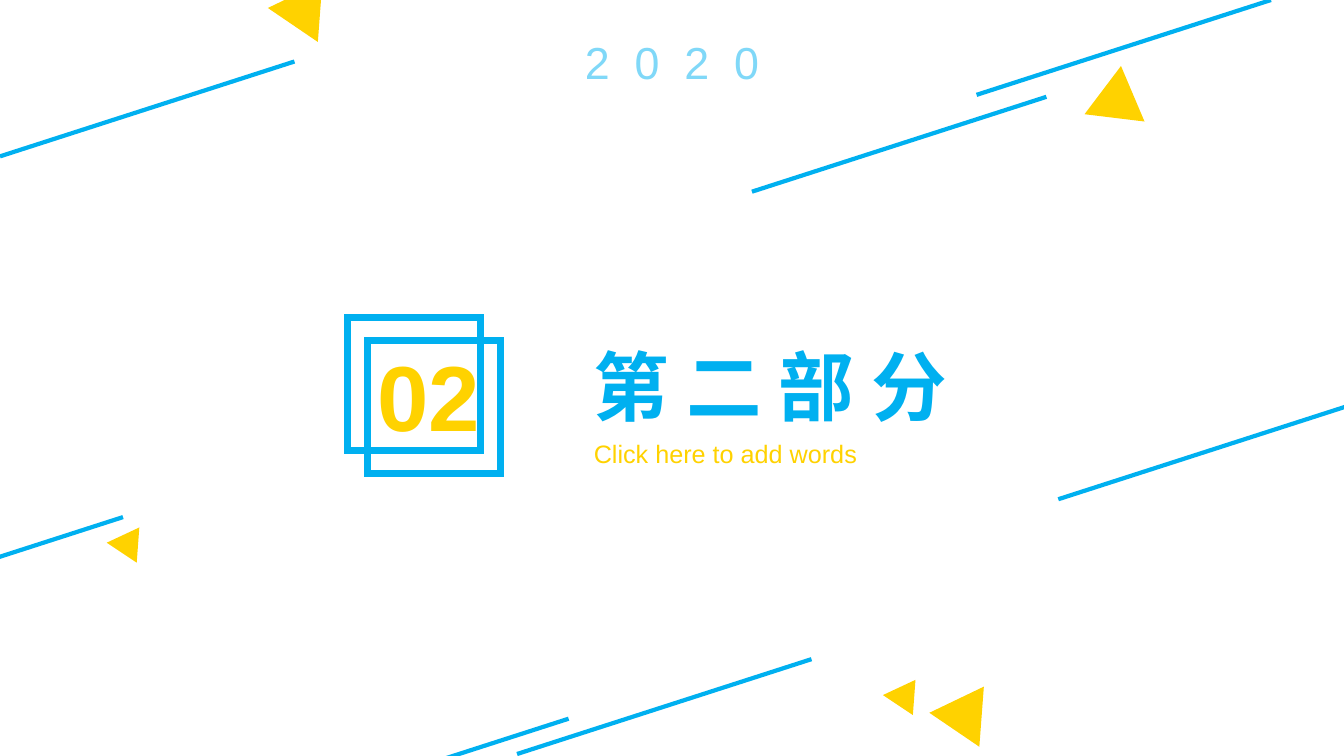
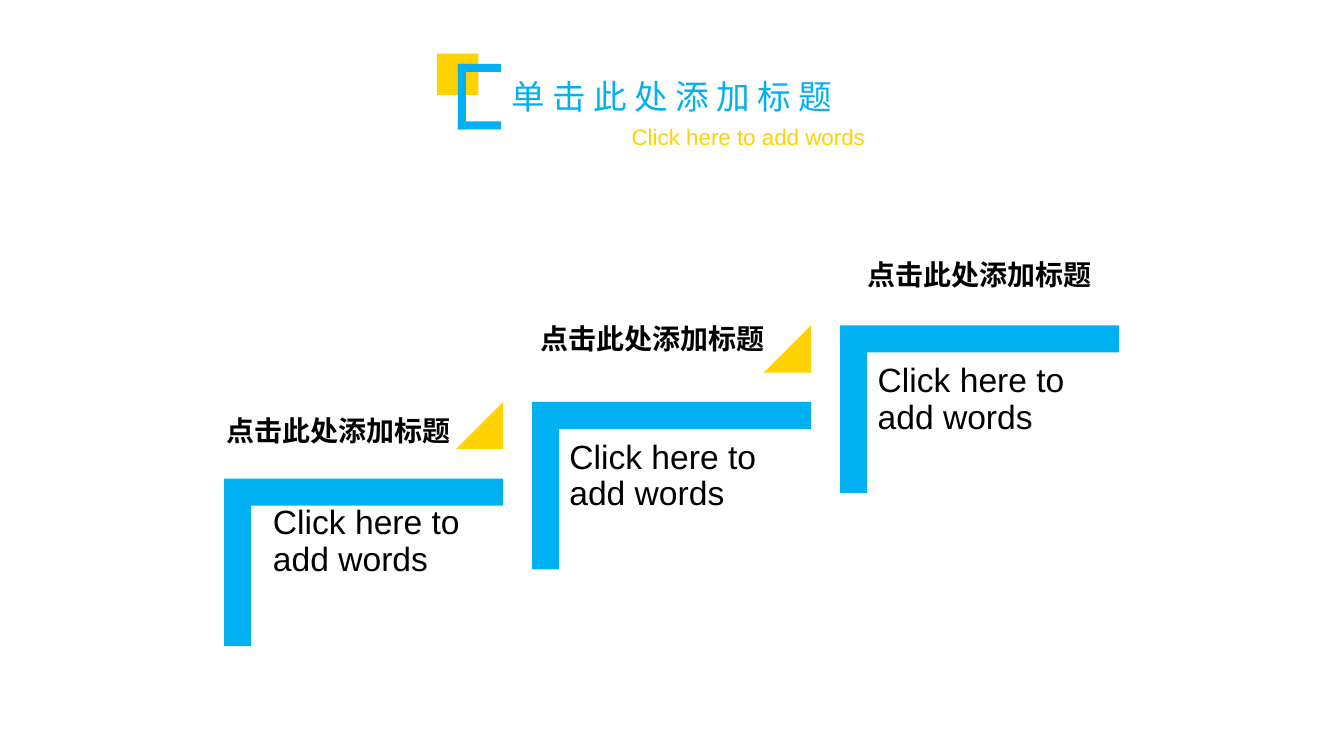
"""Build a section divider and a three-step slide in one blue and yellow style."""
from lxml import etree
from pptx import Presentation
from pptx.dml.color import RGBColor
from pptx.enum.shapes import MSO_CONNECTOR, MSO_SHAPE
from pptx.enum.text import MSO_ANCHOR, MSO_AUTO_SIZE, PP_ALIGN
from pptx.oxml.ns import qn
from pptx.util import Cm, Pt

BLUE = RGBColor(0x00, 0xB0, 0xF0)
PALE_BLUE = RGBColor(0x80, 0xD8, 0xF8)
YELLOW = RGBColor(0xFF, 0xD2, 0x00)
BLACK = RGBColor(0x00, 0x00, 0x00)
FONT = "Arial"
RECTANGLE, TRIANGLE, CORNER = MSO_SHAPE.RECTANGLE, MSO_SHAPE.ISOSCELES_TRIANGLE, MSO_SHAPE.CORNER
STRAIGHT = MSO_CONNECTOR.STRAIGHT
LEFT, CENTER, JUSTIFY = PP_ALIGN.LEFT, PP_ALIGN.CENTER, PP_ALIGN.JUSTIFY
TOP = MSO_ANCHOR.TOP
NO_RESIZE = MSO_AUTO_SIZE.NONE

STRIPE_RUN, STRIPE_RISE = 7.42, 2.39
STRIPES = [(32.03, 0, 1), (26.37, 2.44, 1), (34.09, 10.19, 1), (20.45, 16.61, 1),
           (3.1, 13.03, 1), (7.42, 1.55, 1), (14.33, 18.11, 0.57)]
LARGE, SMALL = (1.52, 1.32), (0.89, 0.79)
TRIANGLES = [(27.18, 1.96, LARGE, 247), (23.32, 17.35, LARGE, 274.3),
             (6.65, -0.41, LARGE, 274.3), (22.2, 17.15, SMALL, 274.3),
             (2.64, 13.31, SMALL, 274.3)]

STEP_WIDTH, STEP_HEIGHT = 7.03, 4.22
STEP_RIGHT, STEP_UP = 7.76, 1.93
MARK = 1.19
STEP_TEXTS = [((4.7, 10.03), (6.63, 12.5)),
              ((12.62, 7.72), (14.1, 10.85)),
              ((20.85, 6.12), (21.87, 8.92))]
PROMPT = "Click here to add words"


def write(frame, text, *, size, color, bold=False, align=CENTER, line_spacing=1.0,
          spacing=0, inset=None):
    """Fill a text frame with one formatted paragraph."""
    frame.word_wrap = True
    frame.auto_size = NO_RESIZE
    frame.vertical_anchor = TOP
    if inset is not None:
        frame.margin_left = frame.margin_right = Cm(inset)
        frame.margin_top = frame.margin_bottom = Cm(inset)
    para = frame.paragraphs[0]
    para.alignment = align
    para.line_spacing = line_spacing
    para.space_before = Pt(0)
    span = para.add_run()
    span.text = text
    span.font.size = Pt(size)
    span.font.bold = bold
    span.font.name = FONT
    span.font.color.rgb = color
    properties = span._r.get_or_add_rPr()
    properties.set("lang", "zh-CN")
    etree.SubElement(properties, qn("a:ea")).set("typeface", FONT)
    if spacing:
        properties.set("spc", str(spacing))


class Designer:
    """Hold the deck style and the slide being drawn."""

    def __init__(self):
        """Start an empty widescreen deck."""
        self.deck = Presentation()
        self.deck.slide_width, self.deck.slide_height = Cm(33.87), Cm(19.05)
        self.page = None

    def start(self):
        """Add a slide with title and subtitle placeholders."""
        self.page = self.deck.slides.add_slide(self.deck.slide_layouts[0])

    def placeholder(self, index, text, left, top, width, height, **style):
        """Move a placeholder and write its text."""
        box = self.page.placeholders[index]
        box.left, box.top, box.width, box.height = Cm(left), Cm(top), Cm(width), Cm(height)
        write(box.text_frame, text, **style)

    def label(self, text, left, top, width, height, **style):
        """Add a text box."""
        box = self.page.shapes.add_textbox(Cm(left), Cm(top), Cm(width), Cm(height))
        write(box.text_frame, text, **style)

    def shape(self, kind, left, top, width, height, *, fill=None, line=None,
              rotation=0, adjust=()):
        """Add a preset shape, filled or outlined with sharp corners."""
        shape = self.page.shapes.add_shape(kind, Cm(left), Cm(top), Cm(width), Cm(height))
        shape.shadow.inherit = False
        shape.rotation = rotation
        for index, value in enumerate(adjust):
            shape.adjustments[index] = value
        if fill is None:
            shape.fill.background()
        else:
            shape.fill.solid()
            shape.fill.fore_color.rgb = fill
        if line is None:
            shape.line.fill.background()
        else:
            shape.line.color.rgb = line
            shape.line.width = Pt(5)
            outline = shape._element.spPr.find(qn("a:ln"))
            etree.SubElement(outline, qn("a:miter")).set("lim", "800000")

    def stripe(self, right, top, scale):
        """Add a slanted line that falls to the left of its upper end."""
        line = self.page.shapes.add_connector(
            STRAIGHT, Cm(right), Cm(top),
            Cm(right - STRIPE_RUN * scale), Cm(top + STRIPE_RISE * scale))
        line.line.color.rgb = BLUE
        line.line.width = Pt(3)
        etree.SubElement(line._element.spPr, qn("a:effectLst"))

    def bracket(self, left, top):
        """Add a step: a corner turned to open down and right."""
        shift = (STEP_WIDTH - STEP_HEIGHT) / 2
        self.shape(CORNER, left + shift, top - shift, STEP_HEIGHT, STEP_WIDTH,
                   fill=BLUE, rotation=90, adjust=(0.161, 0.161))


def draw_section(designer):
    """Draw the section divider."""
    designer.start()
    for stripe in STRIPES:
        designer.stripe(*stripe)
    for left, top, (width, height), rotation in TRIANGLES:
        designer.shape(TRIANGLE, left, top, width, height, fill=YELLOW, rotation=rotation)
    designer.label("2 0 2 0", 12.79, 0.74, 8.3, 1.63, size=32, color=PALE_BLUE,
                   spacing=445)
    designer.placeholder(0, "第 二 部 分", 14.1, 8.43, 10.64, 2.57,
                         size=54, color=BLUE, bold=True, spacing=-143)
    designer.placeholder(1, PROMPT, 14.71, 10.92, 8.23, 1.02,
                         size=18, color=YELLOW, align=JUSTIFY)
    for left, top in ((8.76, 8), (9.27, 8.59)):
        designer.shape(RECTANGLE, left, top, 3.35, 3.35, line=BLUE)
    designer.label("02", 7.42, 8.41, 6.76, 3.07, size=66, color=YELLOW, bold=True)


def draw_steps(designer):
    """Draw the staircase of three steps."""
    designer.start()
    designer.placeholder(0, "单 击 此 处 添 加 标 题", 11.89, 1.78, 10.08, 1.27,
                         size=24, color=BLUE, spacing=-66)
    designer.placeholder(1, PROMPT, 13.82, 2.97, 10.08, 0.94, size=16, color=YELLOW)
    designer.shape(RECTANGLE, 11.02, 1.35, 1.04, 1.04, fill=YELLOW)
    designer.shape(RECTANGLE, 11.54, 1.61, 0.2, 1.65, fill=BLUE)
    for top in (1.61, 3.06):
        designer.shape(RECTANGLE, 11.54, top, 1.09, 0.2, fill=BLUE)
    for index, (heading, body) in enumerate(STEP_TEXTS):
        left, top = 5.65 + index * STEP_RIGHT, 12.06 - index * STEP_UP
        designer.bracket(left, top)
        designer.label("点击此处添加标题", *heading, 7.67, 1.27, size=20, color=BLACK,
                       bold=True, line_spacing=1.3)
        designer.label(PROMPT, *body, 6.35, 5.56, size=24, color=BLACK, align=LEFT,
                       line_spacing=0.9, inset=0.25)
        if index < len(STEP_TEXTS) - 1:
            designer.shape(TRIANGLE, left + STEP_WIDTH - MARK, top - STEP_UP, MARK, MARK,
                           fill=YELLOW, adjust=(1,))


def main():
    """Draw both slides and save the deck."""
    designer = Designer()
    draw_section(designer)
    draw_steps(designer)
    designer.deck.save("out.pptx")


if __name__ == "__main__":
    main()
